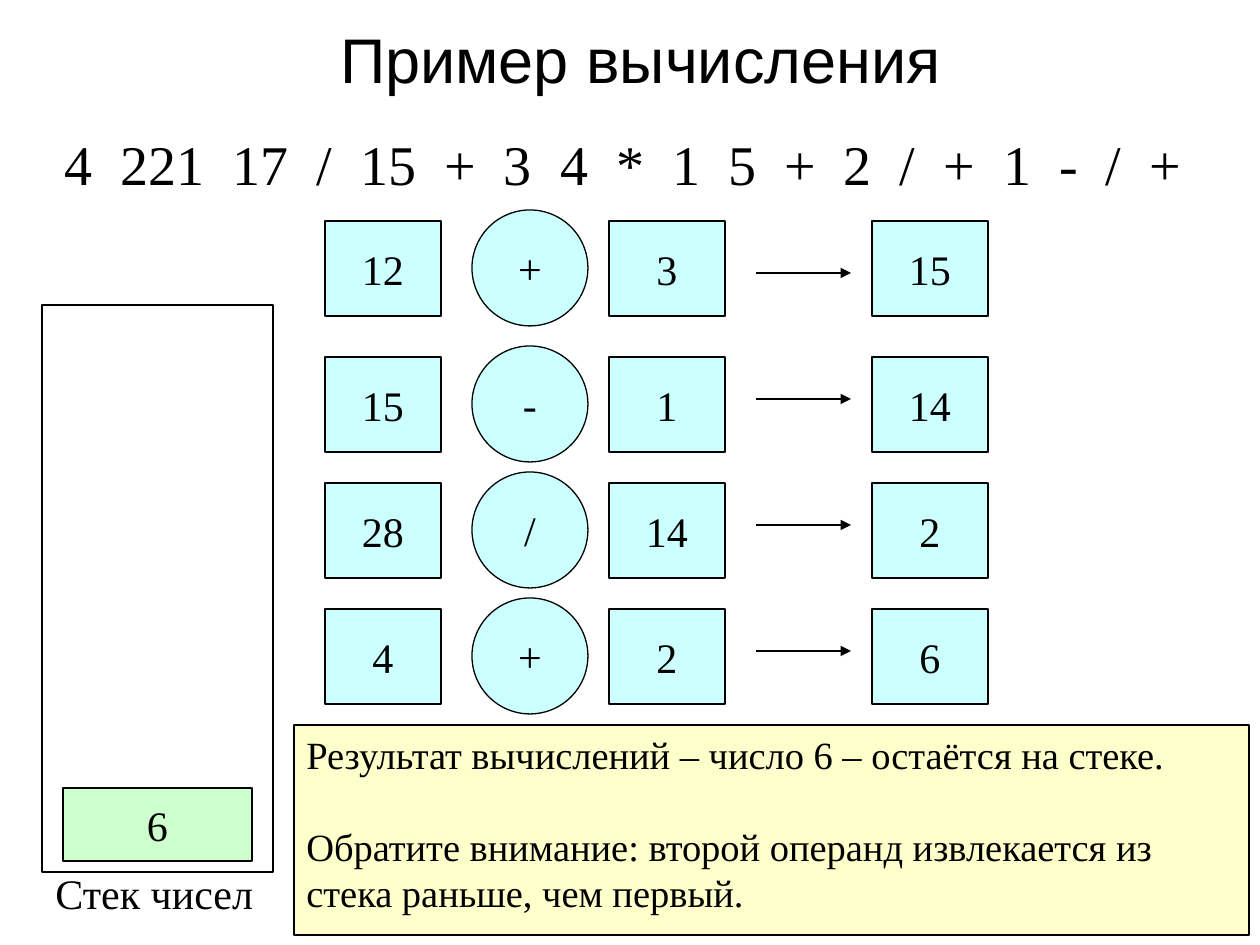
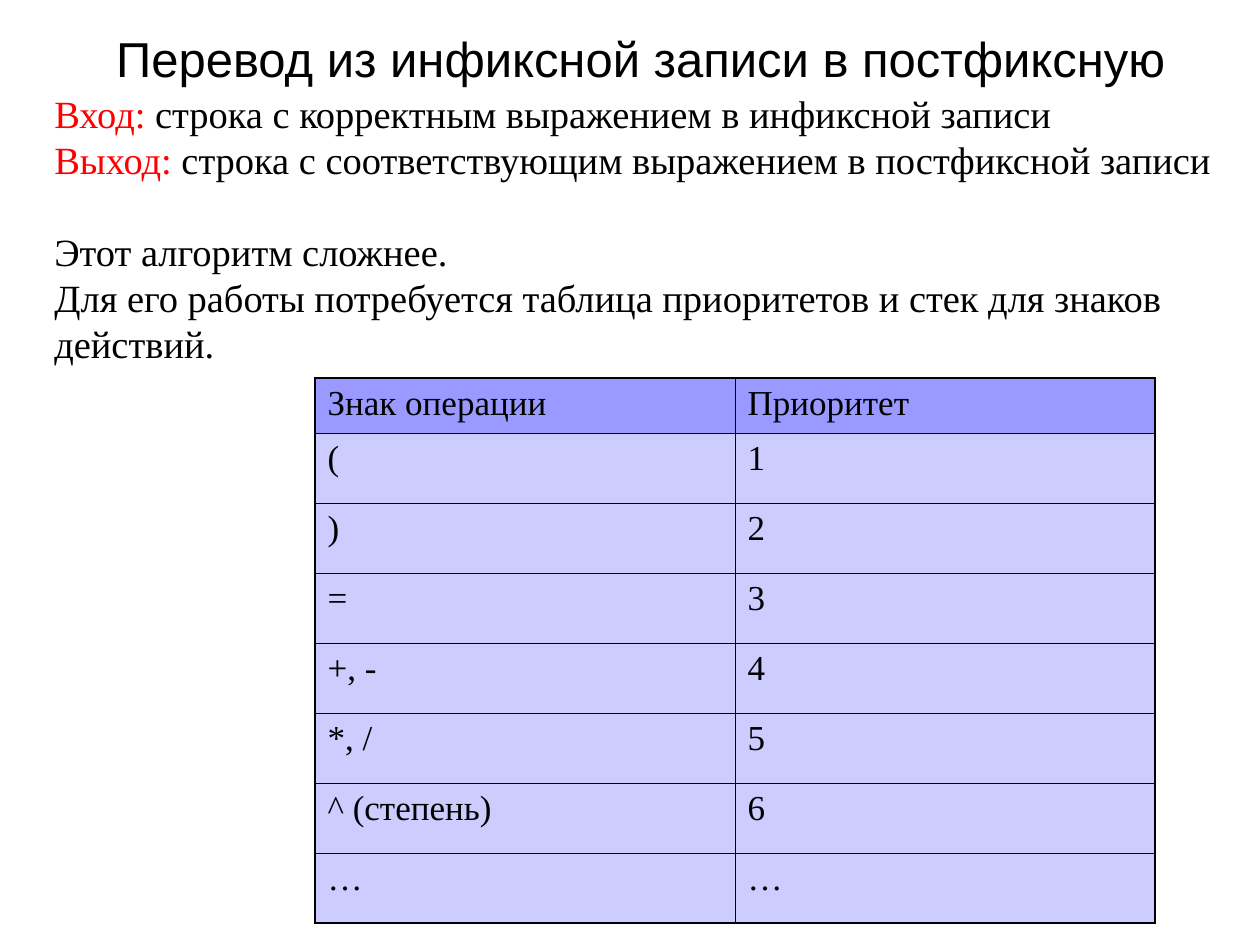
from lxml import etree
from pptx import Presentation
from pptx import util as u
from pptx.dml.color import RGBColor
from pptx.enum import shapes, text
from pptx.oxml import ns

SCALE = 914400 / 126
BLACK, RED, WHITE = "000000", "FF0000", "FFFFFF"
AQUA, GREEN, CREAM = "CCFFFF", "CCFFCC", "FFFFCC"
HEAD, BODY = "9999FF", "CCCCFF"
SERIF, SANS = "Times New Roman", "Arial"
THIN, THICK = 0.45, 1.08
RECT = shapes.MSO_SHAPE.RECTANGLE
OVAL = shapes.MSO_SHAPE.OVAL
FIT = text.MSO_AUTO_SIZE
MID = text.MSO_ANCHOR.MIDDLE
TOP = text.MSO_ANCHOR.TOP
LEFT, MIDST = text.PP_ALIGN.LEFT, text.PP_ALIGN.CENTER

FORMULA = "4 221 17 / 15 + 3 4 * 1 5 + 2 / + 1 - / +"
STEPS = [
    (221, "12", "+", "3", "15"),
    (357, "15", "-", "1", "14"),
    (483, "28", "/", "14", "2"),
    (609, "4", "+", "2", "6"),
]
NOTE = [
    "Результат вычислений – число 6 – остаётся на стеке.",
    "Обратите внимание: второй операнд извлекается из стека раньше, чем первый.",
]
INTRO = [
    ("Вход:", " строка с корректным выражением в инфиксной записи"),
    ("Выход:", " строка с соответствующим выражением в постфиксной записи"),
    ("", "Этот алгоритм сложнее."),
    ("", "Для его работы потребуется таблица приоритетов и стек для знаков действий."),
]
RANKS = [
    ("Знак операции", "Приоритет"),
    ("(", "1"),
    (")", "2"),
    ("=", "3"),
    ("+, -", "4"),
    ("*, /", "5"),
    ("^ (степень)", "6"),
    ("…", "…"),
]


def px(*sizes):
    return [u.Emu(round(size * SCALE)) for size in sizes]


def ink(code):
    return RGBColor.from_string(code)


def style(run, size, code=BLACK, face=SERIF):
    run.font.size = u.Pt(size)
    run.font.name = face
    run.font.bold = False
    run.font.color.rgb = ink(code)


def style_all(frame, size, align=LEFT, face=SERIF):
    for par in frame.paragraphs:
        par.alignment = align
        for run in par.runs:
            style(run, size, BLACK, face)


def add_box(slide, box, fill=None, words="", kind=RECT):
    shape = slide.shapes.add_shape(kind, *px(*box))
    shape.shadow.inherit = False
    if fill:
        shape.fill.solid()
        shape.fill.fore_color.rgb = ink(fill)
    else:
        shape.fill.background()
    shape.line.color.rgb = ink(BLACK)
    shape.line.width = u.Pt(0.75)
    frame = shape.text_frame
    frame.word_wrap = False
    frame.vertical_anchor = MID
    if words:
        frame.text = words
        style_all(frame, 24, MIDST)
    return shape


def add_text(slide, box, wrap):
    frame = slide.shapes.add_textbox(*px(*box)).text_frame
    frame.word_wrap = wrap
    frame.auto_size = FIT.SHAPE_TO_FIT_TEXT
    return frame


def add_arrow(slide, left, top, width):
    line = slide.shapes.add_connector(
        shapes.MSO_CONNECTOR.STRAIGHT, *px(left, top, left + width, top))
    line.line.color.rgb = ink(BLACK)
    line.line.width = u.Pt(0.75)
    tail = etree.SubElement(line.line._get_or_add_ln(), ns.qn("a:tailEnd"))
    tail.set("type", "triangle")
    etree.SubElement(line._element.spPr, ns.qn("a:effectLst"))


def add_slide(deck, words, size):
    slide = deck.slides.add_slide(deck.slide_layouts[5])
    slide.background.fill.solid()
    slide.background.fill.fore_color.rgb = ink(WHITE)
    title = slide.shapes.title
    title.left, title.top, title.width, title.height = px(42, -21, 1197, 158)
    frame = title.text_frame
    frame.text = words
    frame.auto_size = FIT.NONE
    frame.vertical_anchor = MID
    style_all(frame, size, MIDST, SANS)
    return slide


def add_formula(slide, box):
    par = add_text(slide, box, False).paragraphs[0]
    for place, token in enumerate(FORMULA.split()):
        if place:
            gap = par.add_run()
            gap.text = " "
            style(gap, 32)
            gap.font._element.set("spc", "800")
        run = par.add_run()
        run.text = token
        style(run, 32)


def add_stack(slide, box):
    left, top, width, height = box
    add_box(slide, box)
    add_box(slide, (left + 21, top + height - 84, width - 42, 73), GREEN, "6")
    label = add_text(slide, (left + 1, top + height - 11, 223, 63), False)
    label.text = "Стек чисел"
    style_all(label, 24)


def add_steps(slide, left):
    for place, (top, first, sign, second, answer) in enumerate(STEPS):
        for shift, words in ((0, first), (284, second), (547, answer)):
            add_box(slide, (left + shift, top, 116, 95), AQUA, words)
        add_box(slide, (left + 147, top - 11, 116, 116), AQUA, sign, OVAL)
        add_arrow(slide, left + 431, 273 + 126 * place, 95)


def add_note(slide, box):
    frame = add_box(slide, box, CREAM).text_frame
    frame.word_wrap = True
    frame.vertical_anchor = TOP
    frame.text = "\n".join(NOTE)
    frame.paragraphs[1].space_before = u.Pt(26)
    style_all(frame, 22)


def add_intro(slide, box):
    frame = add_text(slide, box, True)
    for place, (lead, rest) in enumerate(INTRO):
        par = frame.add_paragraph() if place else frame.paragraphs[0]
        for words, code in ((lead, RED), (rest, BLACK)):
            if words:
                run = par.add_run()
                run.text = words
                style(run, 22, code)
    frame.paragraphs[2].space_before = u.Pt(26)


def add_edge(cell, side, width):
    props = cell._tc.get_or_add_tcPr()
    line = etree.SubElement(props, ns.qn("a:ln" + side), w=str(u.Pt(width)))
    fill = etree.SubElement(line, ns.qn("a:solidFill"))
    etree.SubElement(fill, ns.qn("a:srgbClr"), val=BLACK)


def add_ranks(slide, box):
    rows, cols = len(RANKS), len(RANKS[0])
    grid = slide.shapes.add_table(rows, cols, *px(*box)).table
    grid.first_row = grid.horz_banding = False
    for col in grid.columns:
        col.width = px(box[2] / cols)[0]
    for row, words in enumerate(RANKS):
        grid.rows[row].height = px(70 if row else 55)[0]
        for col, word in enumerate(words):
            cell = grid.cell(row, col)
            outer = {"L": col == 0, "R": col == cols - 1,
                     "T": row == 0, "B": row == rows - 1}
            for side, edge in outer.items():
                add_edge(cell, side, THICK if edge else THIN)
            cell.fill.solid()
            cell.fill.fore_color.rgb = ink(BODY if row else HEAD)
            cell.text_frame.text = word
            cell.text_frame.paragraphs[0].space_before = u.Pt(5)
            style_all(cell.text_frame, 20)


def show_sample(deck):
    slide = add_slide(deck, "Пример вычисления", 36)
    add_formula(slide, (52, 123, 1142, 81))
    add_stack(slide, (42, 305, 231, 567))
    add_steps(slide, 325)
    add_note(slide, (294, 725, 955, 210))


def show_ranks(deck):
    slide = add_slide(deck, "Перевод из инфиксной записи в постфиксную", 28)
    add_intro(slide, (42, 84, 1187, 336))
    add_ranks(slide, (315, 378, 840, 545))


def main():
    deck = Presentation()
    deck.slide_width, deck.slide_height = px(1260, 945)
    show_sample(deck)
    show_ranks(deck)
    deck.save("out.pptx")


if __name__ == "__main__":
    main()
